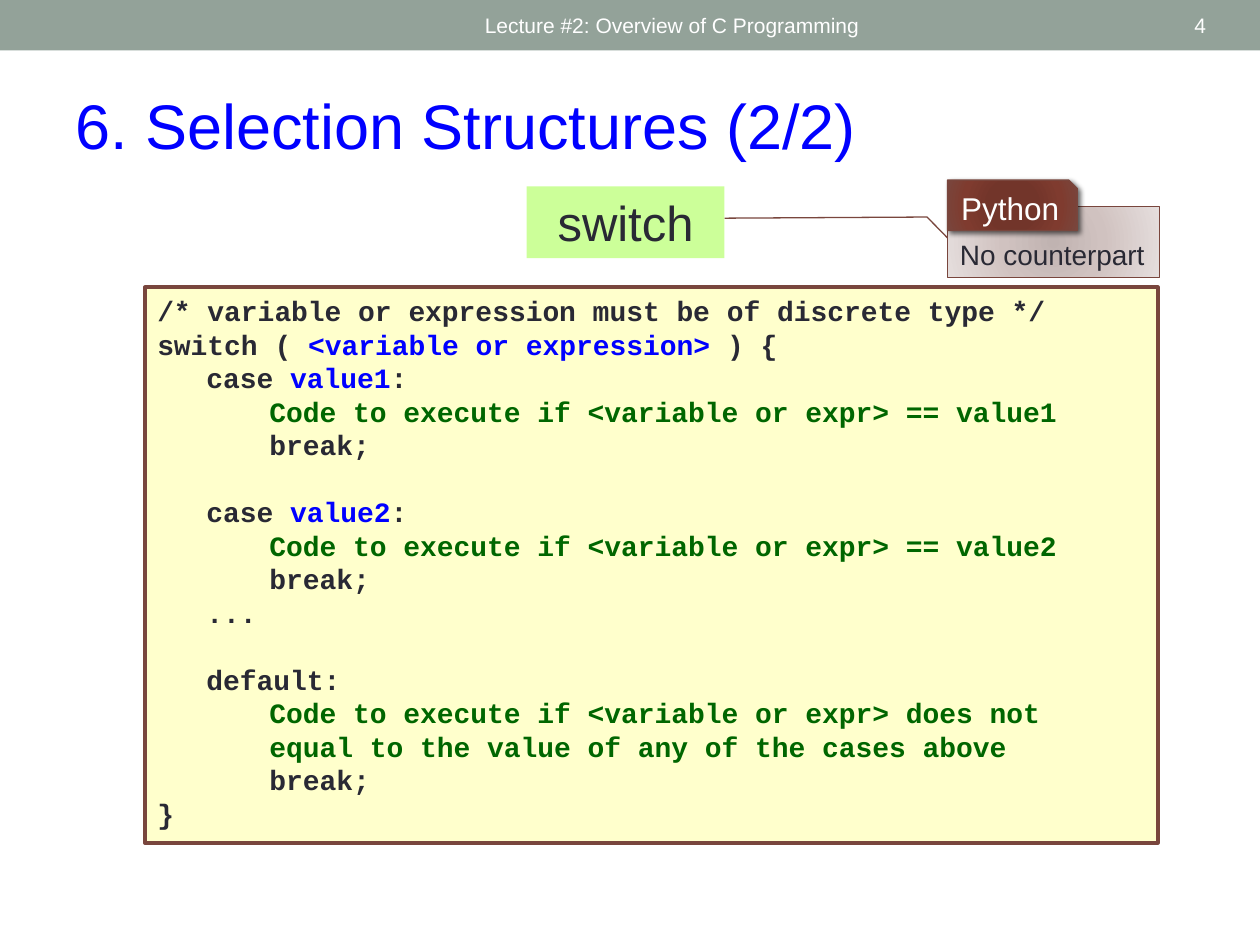
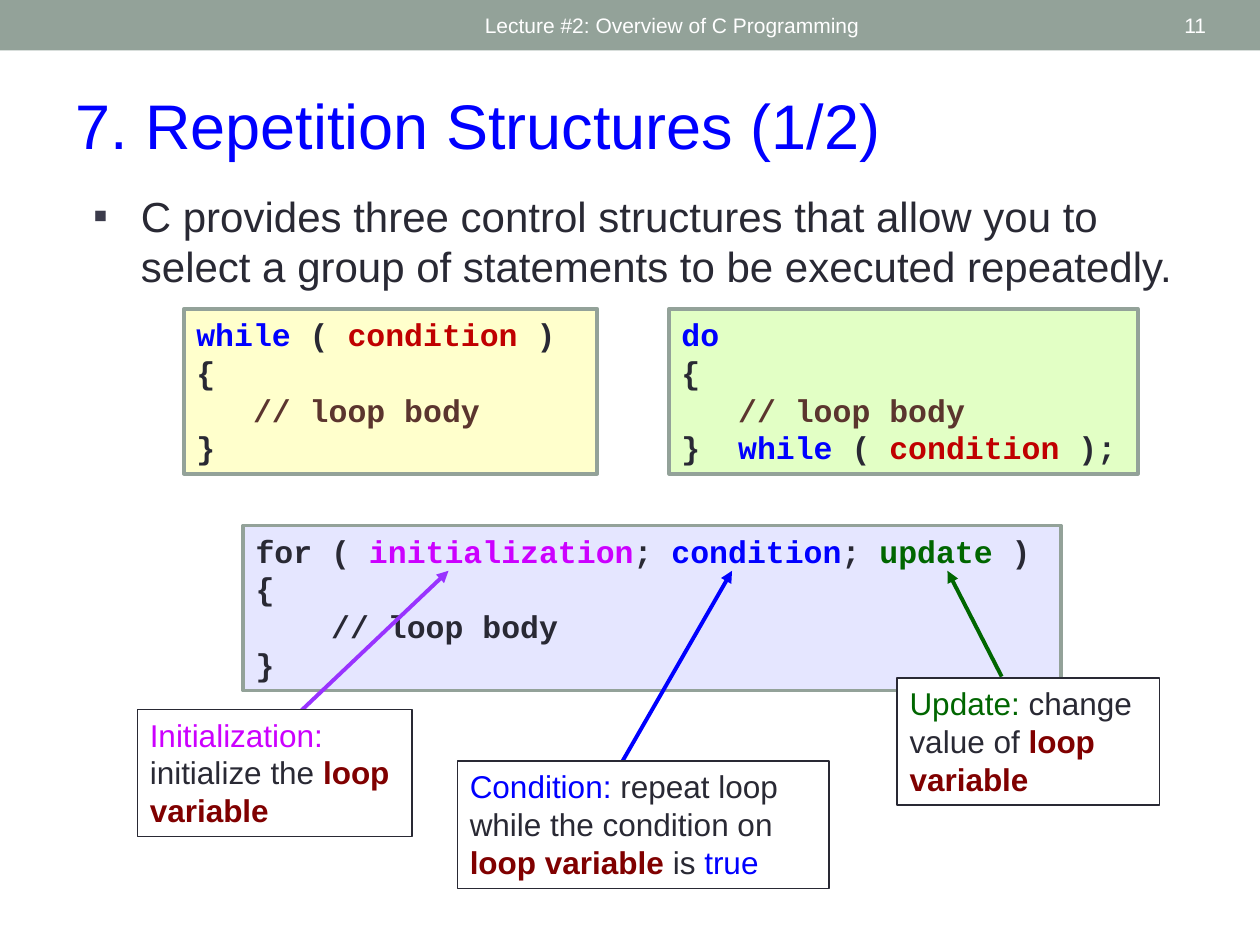
from dataclasses import dataclass
from typing import NamedTuple

from lxml import etree
from pptx import Presentation
from pptx.dml.color import RGBColor
from pptx.enum.shapes import MSO_CONNECTOR, MSO_SHAPE
from pptx.enum.text import MSO_ANCHOR, PP_ALIGN
from pptx.oxml import parse_xml
from pptx.oxml.ns import nsdecls, qn
from pptx.util import Inches, Pt

RECT, SNIP = MSO_SHAPE.RECTANGLE, MSO_SHAPE.SNIP_1_RECTANGLE
CALLOUT = MSO_SHAPE.LINE_CALLOUT_2
STRAIGHT = MSO_CONNECTOR.STRAIGHT
TOP, MIDDLE, BOTTOM = MSO_ANCHOR.TOP, MSO_ANCHOR.MIDDLE, MSO_ANCHOR.BOTTOM
LEFT, CENTER, RIGHT = PP_ALIGN.LEFT, PP_ALIGN.CENTER, PP_ALIGN.RIGHT

SANS, MONO = "Arial", "Courier New"
WHITE = RGBColor(0xFF, 0xFF, 0xFF)
INK = RGBColor(0x29, 0x29, 0x34)
SAGE = RGBColor(0x93, 0xA2, 0x99)
BLUE = RGBColor(0x00, 0x00, 0xFF)
GREEN = RGBColor(0x00, 0x66, 0x00)
BROWN = RGBColor(0x79, 0x46, 0x3D)
UMBER = RGBColor(0x5B, 0x35, 0x2E)
RED = RGBColor(0xC0, 0x00, 0x00)
MAROON = RGBColor(0x80, 0x00, 0x00)
PINK = RGBColor(0xCC, 0x00, 0xFF)
VIOLET = RGBColor(0x99, 0x33, 0xFF)
CREAM = RGBColor(0xFF, 0xFF, 0xCC)
LIME = RGBColor(0xCC, 0xFF, 0x99)
MINT = RGBColor(0xE2, 0xFF, 0xC5)
LILAC = RGBColor(0xE5, 0xE6, 0xFF)

PALE_STOPS = ((0, "C0B3B1"), (45, "D0C2C0"), (100, "E5DEDD"))
DARK_STOPS = ((0, "743327"), (34, "72352A"), (70, "7F3B2F"), (100, "79463D"))


class Run(NamedTuple):
    text: str
    color: RGBColor = INK
    bold: bool = False


class Line(NamedTuple):
    runs: tuple[Run, ...]
    indent: float = 0
    before: float = 0


class Box(NamedTuple):
    left: float
    top: float
    width: float
    height: float


@dataclass
class Style:
    font: str = SANS
    size: float = 18
    align: PP_ALIGN = LEFT
    anchor: MSO_ANCHOR = TOP


@dataclass
class Note:
    """A remark with an arrow to the part of the loop it explains."""
    box: Box
    start: tuple[float, float]
    tip: tuple[float, float]
    color: RGBColor
    runs: tuple[Run, ...]


def code(*parts: str | tuple[str, RGBColor], indent: float = 0,
         before: float = 0) -> Line:
    """Make a bold line of code; plain strings are in ink."""
    pairs = [(p, INK) if isinstance(p, str) else p for p in parts]
    return Line(tuple(Run(t, c, True) for t, c in pairs), indent, before)


def place(box: Box) -> list[Inches]:
    return [Inches(n) for n in box]


def write(shape, lines: list[Line], style: Style) -> None:
    frame = shape.text_frame
    frame.word_wrap = True
    frame.vertical_anchor = style.anchor
    for i, line in enumerate(lines):
        para = frame.paragraphs[0] if i == 0 else frame.add_paragraph()
        para.alignment = style.align
        para.space_before = Pt(line.before)
        if line.indent:
            para._p.get_or_add_pPr().set("marL", str(Inches(line.indent)))
        base = line.runs[0]
        font = para.font
        font.name, font.size = style.font, Pt(style.size)
        font.bold = base.bold
        font.color.rgb = base.color
        for part in line.runs:
            run = para.add_run()
            run.text = part.text
            if part.color != base.color:
                run.font.color.rgb = part.color
            if part.bold != base.bold:
                run.font.bold = part.bold


def add_text(slide, box: Box, lines: list[Line], style: Style):
    shape = slide.shapes.add_textbox(*place(box))
    write(shape, lines, style)
    return shape


def add_box(slide, box: Box, fill: RGBColor | None = None,
            edge: RGBColor | None = None, weight: float = 0.75, kind=RECT):
    shape = slide.shapes.add_shape(kind, *place(box))
    shape.shadow.inherit = False
    if fill is None:
        shape.fill.background()
    else:
        shape.fill.solid()
        shape.fill.fore_color.rgb = fill
    if edge is None:
        shape.line.fill.background()
    else:
        shape.line.color.rgb = edge
        shape.line.width = Pt(weight)
    return shape


def add_glow(shape, stops: tuple[tuple[int, str], ...]) -> None:
    """Swap the empty fill for a circular gradient."""
    marks = "".join(
        f'<a:gs pos="{pos * 1000}"><a:srgbClr val="{color}"/></a:gs>'
        for pos, color in stops)
    glow = parse_xml(
        f'<a:gradFill {nsdecls("a")} rotWithShape="1"><a:gsLst>{marks}'
        '</a:gsLst><a:path path="circle"><a:fillToRect l="100000" t="100000" '
        'r="100000" b="100000"/></a:path></a:gradFill>')
    props = shape._element.spPr
    props.replace(props.find(qn("a:noFill")), glow)


def add_shade(shape) -> None:
    shape._element.spPr.find(qn("a:effectLst")).append(parse_xml(
        f'<a:outerShdw {nsdecls("a")} blurRad="{Pt(3)}" dist="{Pt(2)}" '
        'dir="2700000"><a:srgbClr val="000000"><a:alpha val="60000"/>'
        '</a:srgbClr></a:outerShdw>'))


def add_arrow(slide, note: Note) -> None:
    ends = [Inches(n) for n in note.start + note.tip]
    arrow = slide.shapes.add_connector(STRAIGHT, *ends)
    arrow.line.color.rgb = note.color
    arrow.line.width = Pt(2.25)
    head = etree.SubElement(arrow.line._get_or_add_ln(), qn("a:tailEnd"))
    head.set("type", "triangle")
    etree.SubElement(arrow._element.spPr, qn("a:effectLst"))


def add_note(slide, note: Note) -> None:
    add_arrow(slide, note)
    write(add_box(slide, note.box, WHITE, INK), [Line(note.runs)], Style())


def add_code(slide, box: Box, fill: RGBColor, edge: RGBColor,
             lines: list[Line], size: float = 18) -> None:
    write(add_box(slide, box, fill, edge, 2.08), lines, Style(MONO, size))


def add_page(deck, title: str, number: int):
    """Start a slide with the band, footer, title and number."""
    slide = deck.slides.add_slide(deck.slide_layouts[6])
    add_box(slide, Box(0, 0, 10, 0.4), SAGE)
    add_text(slide, Box(3.75, 0.02, 4.5, 0.36),
             [Line((Run("Lecture #2: Overview of C Programming", WHITE),))],
             Style(size=12, anchor=MIDDLE))
    add_text(slide, Box(0.5, 0.64, 9.29, 0.71),
             [Line((Run(title, BLUE),))], Style(size=36))
    add_text(slide, Box(8.72, 0.02, 0.95, 0.36),
             [Line((Run(str(number), WHITE),))],
             Style(size=12, align=RIGHT, anchor=MIDDLE))
    return slide


def add_choice(deck) -> None:
    slide = add_page(deck, "6. Selection Structures (2/2)", 4)
    label = add_box(slide, Box(4.18, 1.48, 1.57, 0.57), LIME)
    write(label, [Line((Run("switch"),))], Style(size=28, align=CENTER))

    # Code of the switch statement
    case, body, gap = 0.39, 0.89, 19
    lines = [
        code("/* variable or expression must be of discrete type */"),
        code("switch ( ", ("<variable or expression>", BLUE), " ) {")]
    for i, value in enumerate(("value1", "value2")):
        lines += [
            code("case ", (value, BLUE), ":", indent=case, before=i * gap),
            code((f"Code to execute if <variable or expr> == {value}", GREEN),
                 indent=body),
            code("break;", indent=body)]
    lines += [
        code("...", indent=case),
        code("default:", indent=case, before=gap),
        code(("Code to execute if <variable or expr> does not", GREEN),
             indent=body),
        code(("equal to the value of any of the cases above", GREEN),
             indent=body),
        code("break;", indent=body),
        code("}")]
    add_code(slide, Box(1.15, 2.28, 8.04, 4.41), CREAM, BROWN, lines, 16)

    # Python remark with its tag
    remark = add_box(slide, Box(7.52, 1.64, 1.68, 0.56), edge=BROWN,
                     kind=CALLOUT)
    for i, value in enumerate((0.444, 0, 0.148, -0.097, 0.164, -1.053)):
        remark.adjustments[i] = value
    add_glow(remark, PALE_STOPS)
    write(remark, [Line((Run("No counterpart"),))],
          Style(size=16, anchor=BOTTOM))
    tag = add_box(slide, Box(7.52, 1.43, 1.03, 0.4), edge=BROWN, kind=SNIP)
    add_glow(tag, DARK_STOPS)
    add_shade(tag)
    write(tag, [Line((Run("Python", WHITE),))],
          Style(align=CENTER, anchor=MIDDLE))


def add_loops(deck) -> None:
    slide = add_page(deck, "7. Repetition Structures (1/2)", 11)
    intro = add_text(slide, Box(0.64, 1.46, 9.07, 0.99), [Line((Run(
        "C provides three control structures that allow you to select "
        "a group of statements to be executed repeatedly."),), 0.38, 6)],
        Style(size=24))
    props = intro.text_frame.paragraphs[0]._p.pPr
    props.set("indent", str(-Inches(0.38)))
    bullet = (f'<a:buClr {nsdecls("a")}><a:srgbClr val="3B3B4B"/></a:buClr>',
              f'<a:buFont {nsdecls("a")} typeface="{SANS}"/>',
              f'<a:buChar {nsdecls("a")} char="▪"/>')
    for part in bullet:
        props.find(qn("a:defRPr")).addprevious(parse_xml(part))

    # The three loops
    test = ("condition", RED)
    begin = ("while", BLUE)
    inner = code(("// loop body", UMBER), indent=0.45)
    add_code(slide, Box(1.46, 2.45, 3.28, 1.31), CREAM, SAGE, [
        code(begin, " ( ", test, " )"), code("{"), inner, code("}")])
    add_code(slide, Box(5.31, 2.45, 3.72, 1.31), MINT, SAGE, [
        code(("do", BLUE)), code("{"), inner,
        code("}  ", begin, " ( ", test, " );")])
    add_code(slide, Box(1.93, 4.17, 6.49, 1.31), LILAC, SAGE, [
        code("for ( ", ("initialization", PINK), "; ", ("condition", BLUE),
             "; ", ("update", GREEN), " )"),
        code("{"), code("// loop body", indent=0.6), code("}")])

    # Remarks on the parts of the for loop
    target = Run("loop variable", MAROON, True)
    notes = (
        Note(Box(1.09, 5.63, 2.18, 1.01), (2.37, 5.66), (3.56, 4.53), VIOLET,
             (Run("Initialization: ", PINK), Run("initialize the "), target)),
        Note(Box(3.63, 6.04, 2.95, 1.01), (4.74, 6.39), (5.81, 4.53), BLUE,
             (Run("Condition: ", BLUE),
              Run("repeat loop while the condition on "), target,
              Run(" is "), Run("true", BLUE))),
        Note(Box(7.12, 5.38, 2.08, 1.01), (7.95, 5.37), (7.52, 4.53), GREEN,
             (Run("Update: ", GREEN), Run("change value of "), target)))
    for note in notes:
        add_note(slide, note)


def main() -> None:
    deck = Presentation()
    deck.slide_width, deck.slide_height = Inches(10), Inches(7.5)
    add_choice(deck)
    add_loops(deck)
    deck.save("out.pptx")


if __name__ == "__main__":
    main()
